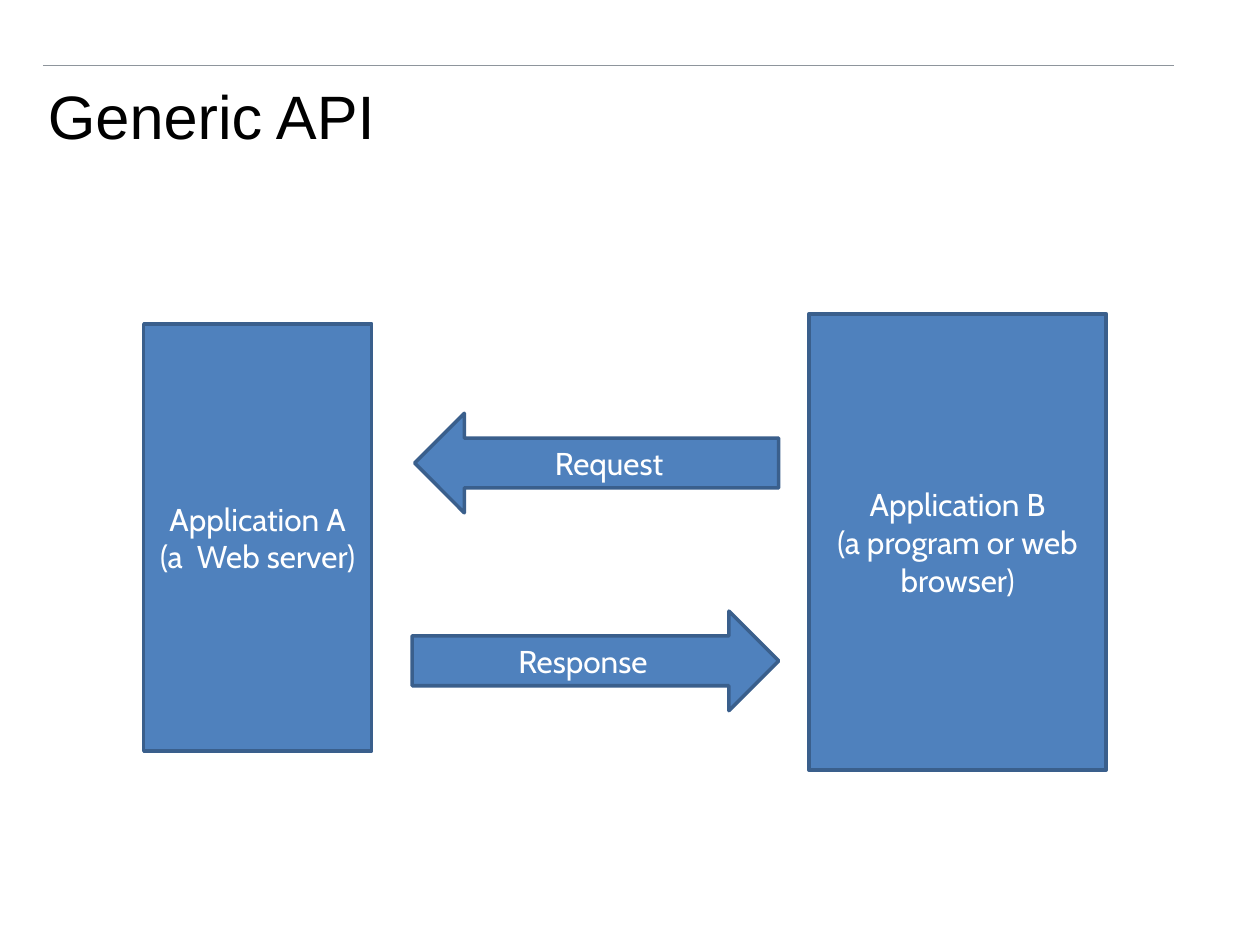
from pptx import Presentation
from pptx.dml.color import RGBColor
from pptx.enum import shapes, text
from pptx.oxml.ns import qn
from pptx.util import Inches, Pt
from lxml import etree

BLOCK = shapes.MSO_SHAPE.FLOWCHART_PROCESS
LEFT = shapes.MSO_SHAPE.LEFT_ARROW
RIGHT = shapes.MSO_SHAPE.RIGHT_ARROW


def color(value):
    """Turn a hex string into a colour."""
    return RGBColor.from_string(value)


def format_text(tf, font, size, fill, align):
    """Format every paragraph and run of a middle-anchored text frame."""
    tf.word_wrap = True
    tf.vertical_anchor = text.MSO_ANCHOR.MIDDLE
    for p in tf.paragraphs:
        p.alignment = align
        for r in p.runs:
            r.font.name = font
            r.font.size = Pt(size)
            r.font.color.rgb = color(fill)


def add_rule(s, left, right, top):
    """Draw the thin rule above the title."""
    line = s.shapes.add_connector(
        shapes.MSO_CONNECTOR.STRAIGHT,
        Inches(left), Inches(top), Inches(right), Inches(top))
    line.line.color.rgb = color("8E959C")
    line.line.width = Pt(0.75)
    etree.SubElement(line._element.spPr, qn("a:effectLst"))


def set_title(s, wording):
    """Place and format the title."""
    sp = s.shapes.title
    sp.left, sp.top = Inches(0.28), Inches(0.29)
    sp.width, sp.height = Inches(9), Inches(1.25)
    sp.text_frame.text = wording
    format_text(sp.text_frame, "Arial", 35, "000000", text.PP_ALIGN.LEFT)


def add_figure(s, kind, left, top, width, height, wording):
    """Add a blue shape with centred white text."""
    sp = s.shapes.add_shape(
        kind, Inches(left), Inches(top), Inches(width), Inches(height))
    sp.shadow.inherit = False
    sp.fill.solid()
    sp.fill.fore_color.rgb = color("4F81BD")
    sp.line.color.rgb = color("3A5F8C")
    sp.line.width = Pt(2)
    sp.text_frame.text = wording
    format_text(sp.text_frame, "Cabin", 18, "FFFFFF", text.PP_ALIGN.CENTER)


def main():
    """Build the API slide."""
    prs = Presentation()
    prs.slide_width, prs.slide_height = Inches(10), Inches(7.5)
    s = prs.slides.add_slide(prs.slide_layouts[5])
    add_rule(s, 0.34, 9.32, 0.52)
    set_title(s, "Generic API")
    add_figure(s, BLOCK, 1.14, 2.57, 1.81, 3.39,
               "Application A\n(a  Web server)")
    add_figure(s, BLOCK, 6.42, 2.49, 2.36, 3.62,
               "Application B\n(a program or web browser)")
    add_figure(s, RIGHT, 3.27, 4.85, 2.91, 0.79, "Response")
    add_figure(s, LEFT, 3.29, 3.28, 2.89, 0.79, "Request")
    prs.save("out.pptx")


if __name__ == "__main__":
    main()
